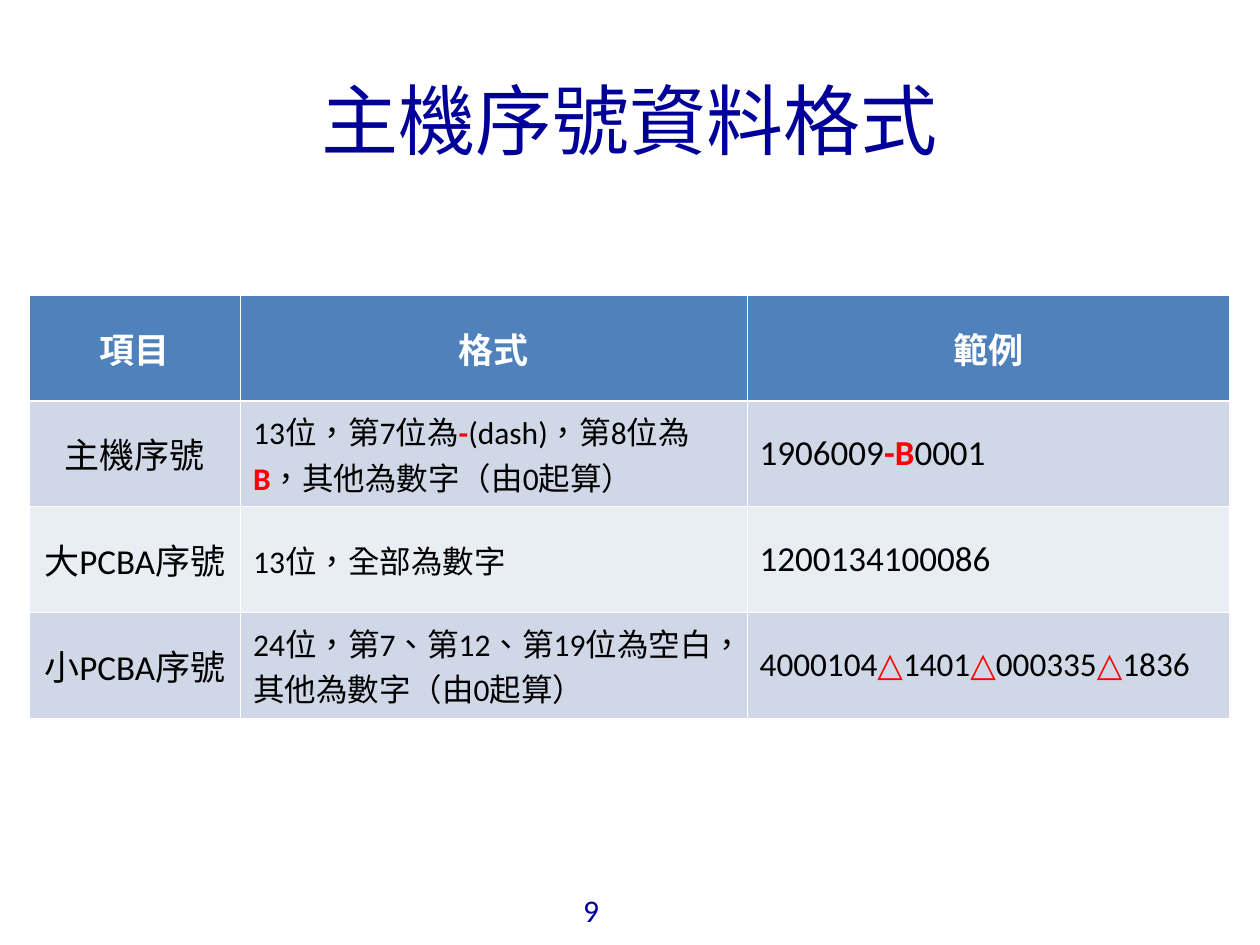
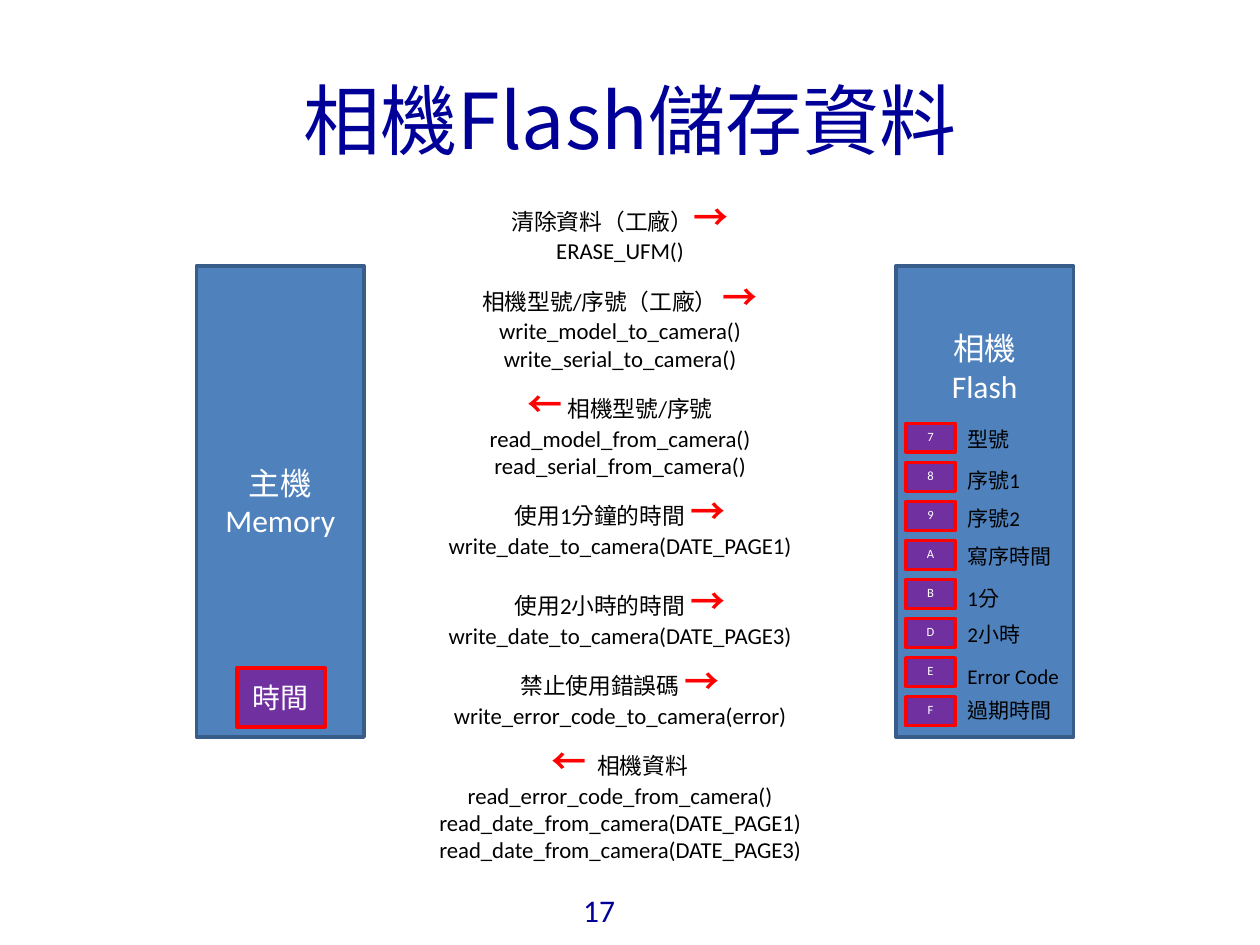
"""Build two slides: host serial number formats and camera flash storage."""
from lxml.etree import SubElement
from pptx import Presentation
from pptx.dml.color import RGBColor
from pptx.enum.lang import MSO_LANGUAGE_ID as LANG
from pptx.enum.shapes import MSO_SHAPE
from pptx.enum.text import MSO_ANCHOR as ANCHOR, PP_ALIGN as ALIGN
from pptx.oxml.ns import qn
from pptx.util import Pt

PX = 9144
COLORS = {
    "navy": "000099", "blue": "4F81BD", "edge": "385D8A", "purple": "7030A0",
    "red": "FF0000", "white": "FFFFFF", "black": "000000",
    "odd": "D0D8E8", "even": "E9EDF4",
}
RGB = {name: RGBColor.from_string(value) for name, value in COLORS.items()}


def write(frame, lines, size, color, accent_size=None, gaps=None, font="Calibri",
          bold=False, align=ALIGN.LEFT, spacing=None, **frame_format):
    """Write lines into a frame; text between bars is bold and red."""
    for attribute, value in {"word_wrap": True, **frame_format}.items():
        setattr(frame, attribute, value)
    for number, line in enumerate(lines):
        paragraph = frame.add_paragraph() if number else frame.paragraphs[0]
        paragraph.alignment = align
        paragraph.line_spacing = spacing
        if number and gaps:
            paragraph.space_before = Pt(gaps[number])
        for part, text in enumerate(line.split("|")):
            if not text:
                continue
            accented = part % 2 == 1
            run = paragraph.add_run()
            run.text = text
            run.font.color.rgb = RGB["red" if accented else color]
            values = {
                "name": font, "bold": accented or bold,
                "size": Pt(accent_size if accented and accent_size else size),
                "language_id": LANG.TRADITIONAL_CHINESE,
            }
            for attribute, value in values.items():
                setattr(run.font, attribute, value)


def block(slide, area, fill, edge, lines, size, **text_format):
    """Draw a filled rectangle with centred white text."""
    shape = slide.shapes.add_shape(MSO_SHAPE.RECTANGLE, *[n * PX for n in area])
    shape.shadow.inherit = False
    shape.fill.solid()
    shape.fill.fore_color.rgb = RGB[fill]
    shape.line.color.rgb = RGB[edge]
    shape.line.width = Pt(2)
    write(shape.text_frame, lines, size, "white", align=ALIGN.CENTER,
          **{"vertical_anchor": ANCHOR.MIDDLE, **text_format})


deck = Presentation()
deck.slide_width, deck.slide_height = 1000 * PX, 750 * PX

slides = []
for heading, page in (("主機序號資料格式", "9"), ("相機Flash儲存資料", "17")):
    slide = deck.slides.add_slide(deck.slide_layouts[6])
    page_box = slide.shapes.add_textbox(453 * PX, 702 * PX, 55 * PX, 41 * PX)
    write(page_box.text_frame, [page], 18, "navy")
    title = slide.shapes.add_textbox(50 * PX, 40 * PX, 900 * PX, 108 * PX)
    write(title.text_frame, [heading], 44, "navy", font="Noto Sans CJK SC",
          align=ALIGN.CENTER, vertical_anchor=ANCHOR.MIDDLE,
          margin_left=0, margin_right=0, margin_top=0, margin_bottom=0)
    slides.append(slide)
serial_slide, flash_slide = slides

formats = [
    ("項目", "格式", "範例"),
    ("主機序號", "13位，第7位為|-|(dash)，第8位為|B|，其他為數字（由0起算）",
     "1906009|-B|0001"),
    ("大PCBA序號", "13位，全部為數字", "1200134100086"),
    ("小PCBA序號", "24位，第7、第12、第19位為空白，其他為數字（由0起算）",
     "4000104|△|1401|△|000335|△|1836"),
]
sizes = [(20, 20, 20), (20, 18, 20), (20, 18, 20), (20, 18, 19)]
table = serial_slide.shapes.add_table(
    4, 3, 23 * PX, 234 * PX, 953 * PX, 336 * PX).table
for column, width in zip(table.columns, (168, 402, 383)):
    column.width = width * PX
for r, row in enumerate(formats):
    table.rows[r].height = 84 * PX
    for c, entry in enumerate(row):
        cell = table.cell(r, c)
        properties = cell._tc.get_or_add_tcPr()
        for side in "LRTB":
            thick = (r, side) in ((0, "B"), (1, "T"))
            border = SubElement(properties, qn(f"a:ln{side}"),
                                w=str(Pt(1.47 if thick else 0.45)))
            SubElement(SubElement(border, qn("a:solidFill")), qn("a:srgbClr"),
                       val=COLORS["white"])
        cell.fill.solid()
        cell.fill.fore_color.rgb = RGB["blue" if r == 0 else "odd" if r % 2 else "even"]
        cell.vertical_anchor = ANCHOR.MIDDLE
        write(cell.text_frame, [entry], sizes[r][c],
              "black" if r else "white", bold=r == 0,
              align=ALIGN.LEFT if r and c else ALIGN.CENTER)

block(flash_slide, (156, 211, 133, 374), "blue", "edge", ["主機", "Memory"], 18)
block(flash_slide, (711, 211, 141, 374), "blue", "edge", ["相機", "Flash"], 18,
      vertical_anchor=ANCHOR.TOP, margin_top=50 * PX)
block(flash_slide, (188, 530, 70, 47), "purple", "red", ["時間"], 16)

transfers = [
    (0, "清除資料（工廠）|→|", ["ERASE_UFM()"]),
    (6, "相機型號/序號（工廠） |→|",
     ["write_model_to_camera()", "write_serial_to_camera()"]),
    (6, "|←| 相機型號/序號",
     ["read_model_from_camera()", "read_serial_from_camera()"]),
    (6, "使用1分鐘的時間 |→|", ["write_date_to_camera(DATE_PAGE1)"]),
    (12, "使用2小時的時間 |→|", ["write_date_to_camera(DATE_PAGE3)"]),
    (6, "禁止使用錯誤碼 |→|", ["write_error_code_to_camera(error)"]),
    (6, "|←|  相機資料",
     ["read_error_code_from_camera()", "read_date_from_camera(DATE_PAGE1)",
      "read_date_from_camera(DATE_PAGE3)"]),
]
steps, step_gaps = [], []
for gap, purpose, calls in transfers:
    steps += [purpose, *calls]
    step_gaps += [gap] + [0] * len(calls)
flow = flash_slide.shapes.add_textbox(320 * PX, 150 * PX, 344 * PX, 540 * PX)
write(flow.text_frame, steps, 13, "black", accent_size=20, gaps=step_gaps,
      align=ALIGN.CENTER)

for i, flash_page in enumerate("789ABDEF"):
    block(flash_slide, (719, 336 + 31 * i, 39, 23), "purple", "red",
          [flash_page], 7.2, spacing=0.8)
contents = ["型號", "序號1", "序號2", "寫序時間", "1分", "2小時", "Error Code", "過期時間"]
legend = flash_slide.shapes.add_textbox(758 * PX, 334 * PX, 102 * PX, 244 * PX)
write(legend.text_frame, contents, 12, "black",
      gaps=[0, 8.5, 7.3, 7.3, 9.8, 6.1, 9.8, 4.9])

deck.save("out.pptx")
